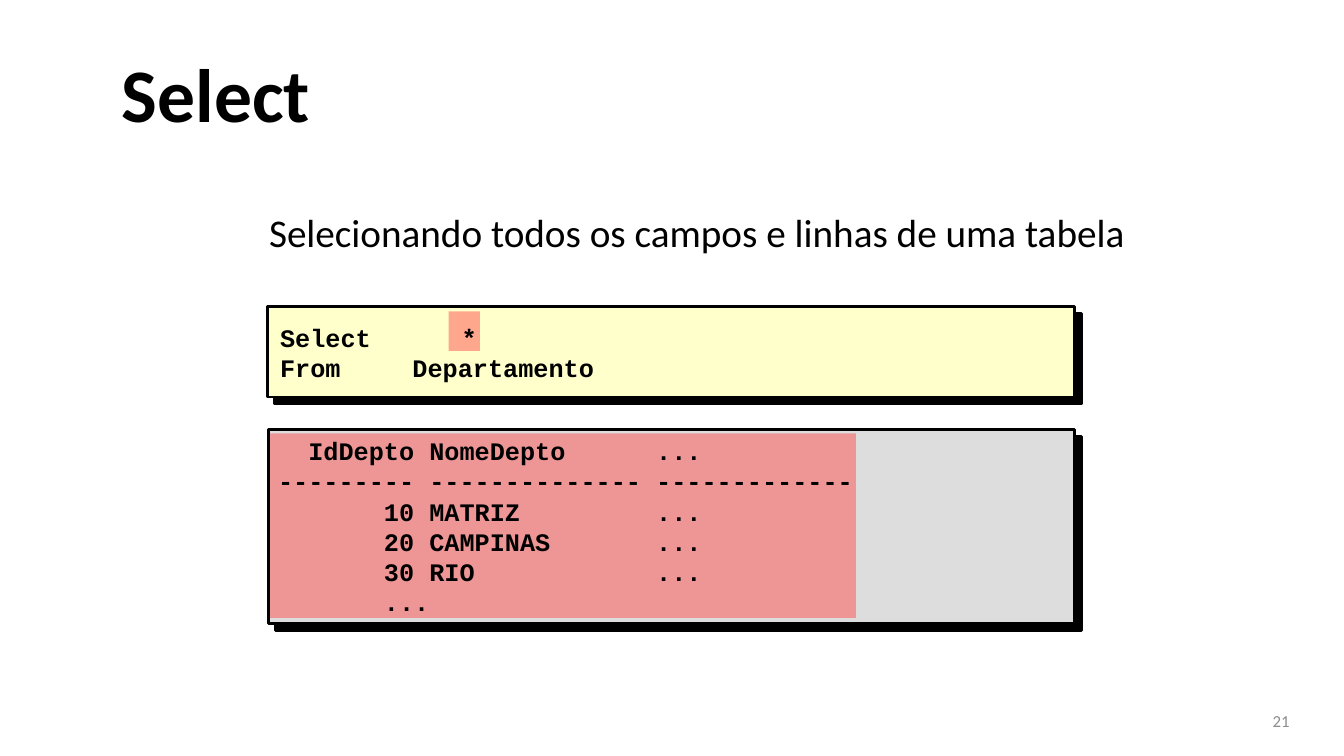
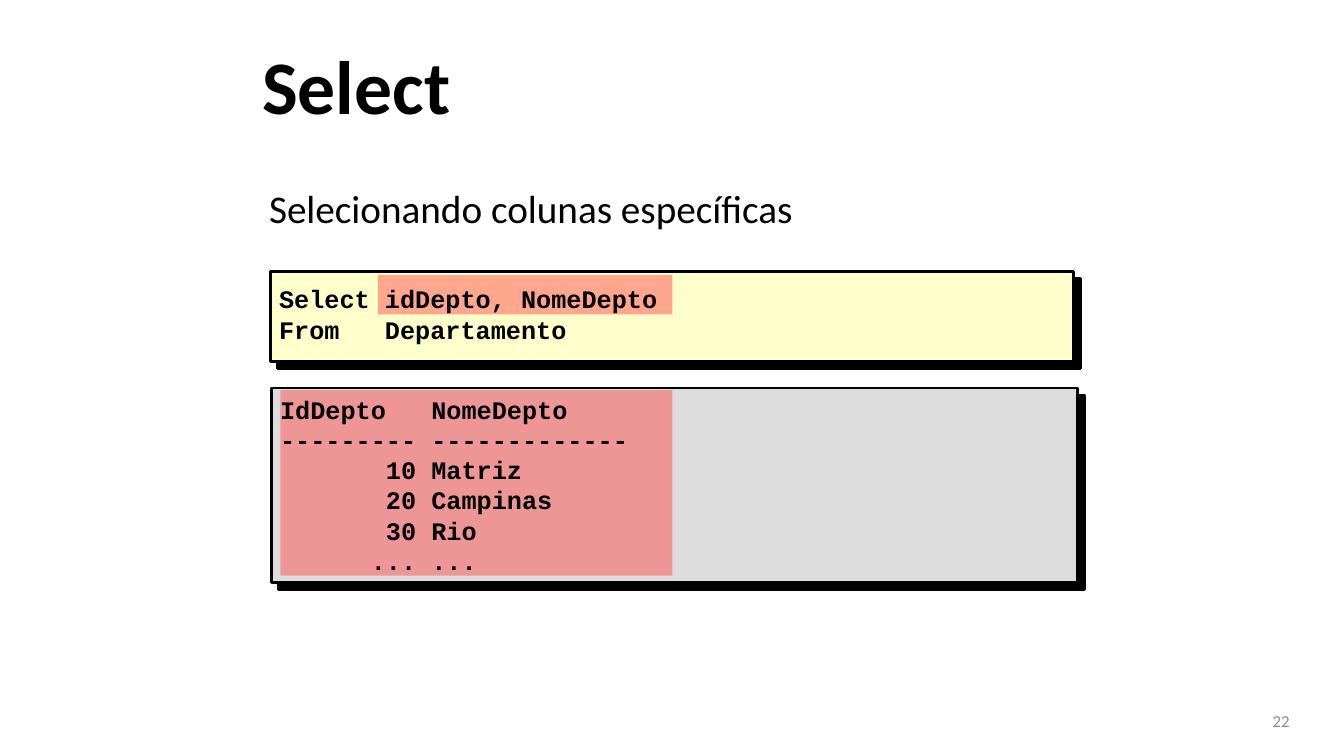
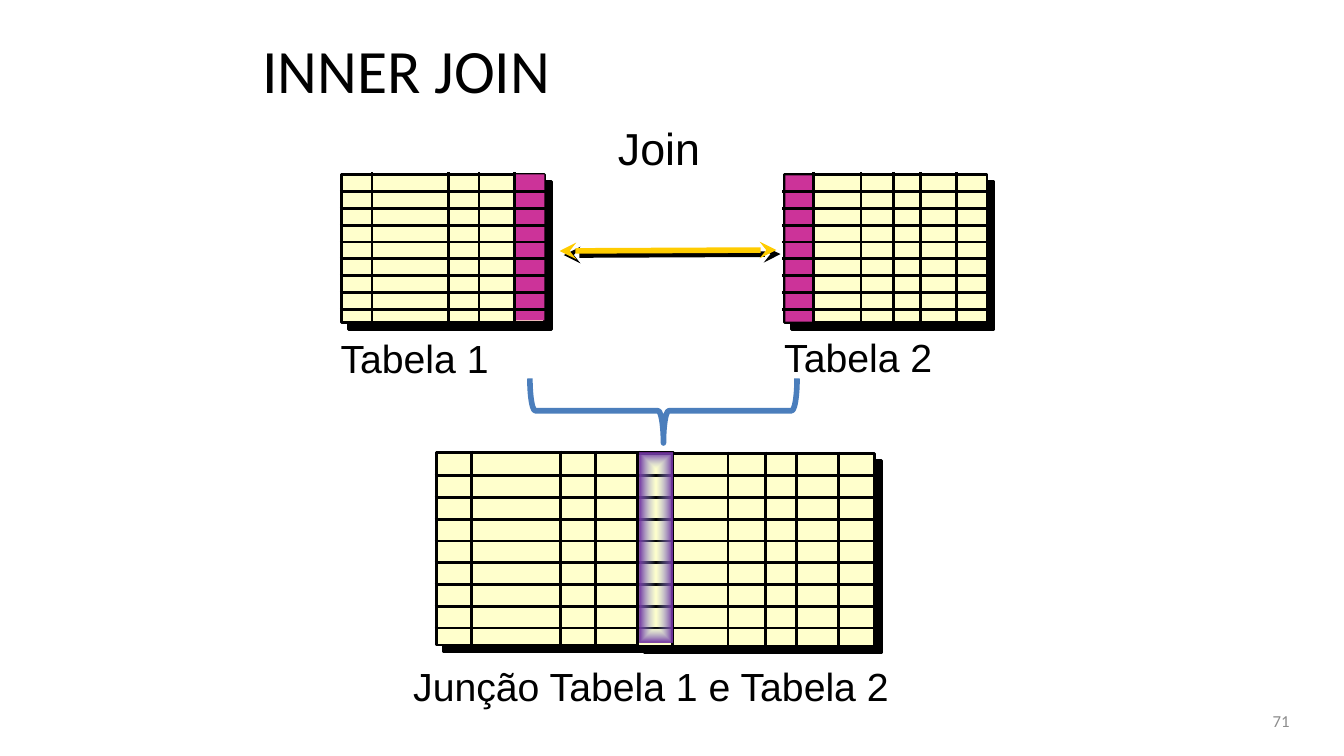
from dataclasses import dataclass
from typing import Optional

from lxml.etree import SubElement
from pptx import Presentation
from pptx.dml.color import RGBColor
from pptx.enum.shapes import MSO_CONNECTOR, MSO_SHAPE
from pptx.enum.text import MSO_ANCHOR, MSO_AUTO_SIZE, PP_ALIGN
from pptx.oxml.ns import qn
from pptx.util import Inches, Pt


@dataclass(frozen=True)
class Theme:
    black: str = "000000"
    query_fill: str = "FFFFCC"
    result_fill: str = "DDDDDD"
    highlight: str = "FF5050"
    key_column: str = "CC3399"
    join_column: str = "7030A0"
    join_center: str = "9AB5E4"
    arrow: str = "FFCC00"
    brace: str = "4B7EBC"
    page_number: str = "8C8C8C"
    text_font: str = "Calibri"
    label_font: str = "Arial"
    code_font: str = "Courier New"
    title_size: float = 54
    join_title_size: float = 44
    join_label_size: float = 32
    body_size: float = 28
    code_size: float = 18
    code_leading: float = 21.6
    page_number_size: float = 12
    outline: float = 2
    heavy_line: float = 4
    box_shadow: float = 7.1
    arrow_shadow: float = 4.2


THEME = Theme()
CODE_CHARACTER = 0.15  # inches per monospaced character
ROW_LINES = 8
OVERHANG = 0.02


@dataclass(frozen=True)
class Box:
    left: float
    top: float
    width: float
    height: float

    @property
    def right(self) -> float:
        return self.left + self.width

    @property
    def bottom(self) -> float:
        return self.top + self.height

    def lengths(self) -> tuple:
        return tuple(Inches(value) for value in (self.left, self.top, self.width, self.height))


@dataclass(frozen=True)
class CodeLine:
    """A line of code; stops are tab positions counted in characters."""
    text: str
    stops: tuple = ()


@dataclass(frozen=True)
class CodePanel:
    frame: Box
    text_box: Box
    highlight: Box
    fill: str
    lines: tuple
    anchor: MSO_ANCHOR = MSO_ANCHOR.TOP


@dataclass(frozen=True)
class SelectSlide:
    number: str
    title_box: Box
    subtitle: str
    subtitle_box: Box
    panels: tuple


@dataclass(frozen=True)
class Grid:
    frame: Box
    columns: tuple
    first_row: float
    last_row: float
    key_column: Optional[Box] = None


SELECT_SLIDES = (
    SelectSlide(
        "21", Box(1.11, 0.29, 11.78, 1.25),
        "Selecionando todos os campos e linhas de uma tabela", Box(2.57, 2.02, 9.07, 1.04),
        (
            CodePanel(
                Box(2.66, 4.26, 8, 1.93), Box(2.66, 4.27, 7.99, 1.92), Box(2.68, 4.3, 5.81, 1.83),
                THEME.result_fill,
                (
                    CodeLine("\tIdDepto NomeDepto\t...", (2, 25)),
                    CodeLine("--------- -------------- -------------"),
                    CodeLine("\t10 MATRIZ\t...", (7, 25)),
                    CodeLine("\t20 CAMPINAS\t...", (7, 25)),
                    CodeLine("\t30 RIO\t...", (7, 25)),
                    CodeLine("\t...", (7,)),
                )),
            CodePanel(
                Box(2.65, 3.04, 8.01, 0.9), Box(2.68, 3.03, 7.96, 0.93), Box(4.45, 3.09, 0.31, 0.39),
                THEME.query_fill,
                (CodeLine("Select\t*", (12,)), CodeLine("From\tDepartamento", (8.75,))),
                MSO_ANCHOR.MIDDLE),
        )),
    SelectSlide(
        "22", Box(2.5, 0.21, 8.83, 1.25),
        "Selecionando colunas específicas", Box(2.57, 1.78, 6, 1.04),
        (
            CodePanel(
                Box(2.69, 3.85, 8, 1.93), Box(2.68, 3.86, 7.97, 1.9), Box(2.78, 3.87, 3.89, 1.84),
                THEME.result_fill,
                (
                    CodeLine("IdDepto\tNomeDepto", (10,)),
                    CodeLine("--------- -------------"),
                    CodeLine("\t10 Matriz", (7,)),
                    CodeLine("\t20 Campinas", (7,)),
                    CodeLine("\t30 Rio", (7,)),
                    CodeLine("\t... ...", (6,)),
                )),
            CodePanel(
                Box(2.68, 2.69, 7.97, 0.9), Box(2.67, 2.65, 8, 0.93), Box(3.75, 2.73, 2.92, 0.39),
                THEME.query_fill,
                (CodeLine("Select idDepto, NomeDepto"), CodeLine("From\tDepartamento", (7,))),
                MSO_ANCHOR.MIDDLE),
        )),
)

SOURCE_GRIDS = (
    Grid(Box(3.39, 1.73, 2.01, 1.47), (3.69, 4.45, 4.75, 5.1), 1.9, 3.07, Box(5.11, 1.73, 0.29, 1.45)),
    Grid(Box(7.78, 1.73, 2.01, 1.47), (8.07, 8.54, 8.86, 9.13, 9.49), 1.9, 3.07,
         Box(7.79, 1.74, 0.29, 1.45)),
)
JOINED_GRIDS = (
    Grid(Box(4.33, 4.49, 2.35, 1.91), (4.68, 5.56, 5.91, 6.33), 4.72, 6.23),
    Grid(Box(6.32, 4.5, 2.35, 1.91), (6.67, 7.22, 7.59, 7.9, 8.32), 4.72, 6.23),
)
JOIN_LABELS = (
    ("Tabela 1", Box(3.28, 3.27, 1.9, 0.57), THEME.body_size),
    ("Tabela 2", Box(7.68, 3.26, 1.9, 0.57), THEME.body_size),
    ("Join", Box(6.03, 1.15, 1.3, 0.64), THEME.join_label_size),
    ("Junção Tabela 1 e Tabela 2", Box(4, 6.52, 4.98, 0.57), THEME.body_size),
)


def rgb(color: str) -> RGBColor:
    return RGBColor.from_string(color)


def write_text(shape, text: str, *, size: float, font: str = THEME.text_font,
               color: str = THEME.black, bold: bool = False, align=PP_ALIGN.LEFT,
               anchor=MSO_ANCHOR.TOP, leading: Optional[float] = None) -> list:
    """Fill a shape with one formatted paragraph per line and return the paragraphs."""
    frame = shape.text_frame
    frame.word_wrap = True
    frame.auto_size = MSO_AUTO_SIZE.NONE
    frame.vertical_anchor = anchor
    frame.text = text
    for paragraph in frame.paragraphs:
        paragraph.alignment = align
        if leading:
            paragraph.line_spacing = Pt(leading)
        for run in paragraph.runs:
            run.font.name = font
            run.font.size = Pt(size)
            run.font.bold = bold
            run.font.color.rgb = rgb(color)
    return list(frame.paragraphs)


def add_text(slide, box: Box, text: str, **text_format) -> list:
    return write_text(slide.shapes.add_textbox(*box.lengths()), text, **text_format)


def add_slide(presentation, title: str, title_box: Box, number: str, **title_format):
    slide = presentation.slides.add_slide(presentation.slide_layouts[5])
    placeholder = slide.shapes.title
    placeholder.left, placeholder.top, placeholder.width, placeholder.height = title_box.lengths()
    write_text(placeholder, title, anchor=MSO_ANCHOR.MIDDLE, **title_format)
    add_text(slide, Box(9.78, 6.95, 3.11, 0.4), number, size=THEME.page_number_size,
             color=THEME.page_number, align=PP_ALIGN.RIGHT, anchor=MSO_ANCHOR.MIDDLE)
    return slide


def set_shadow(effects, distance: float) -> None:
    shadow = SubElement(effects, qn("a:outerShdw"), dist=str(Pt(distance)), dir="2700000",
                        algn="ctr", rotWithShape="0")
    SubElement(shadow, qn("a:srgbClr"), val=THEME.black)


def add_rectangle(slide, box: Box, fill: str, *, alpha: int = 100, framed: bool = False):
    shape = slide.shapes.add_shape(MSO_SHAPE.RECTANGLE, *box.lengths())
    shape.shadow.inherit = False
    shape.fill.solid()
    shape.fill.fore_color.rgb = rgb(fill)
    properties = shape._element.spPr
    if alpha < 100:
        color = properties.find(qn("a:solidFill")).find(qn("a:srgbClr"))
        SubElement(color, qn("a:alpha"), val=str(alpha * 1000))
    if framed:
        shape.line.color.rgb = rgb(THEME.black)
        shape.line.width = Pt(THEME.outline)
        set_shadow(properties.find(qn("a:effectLst")), THEME.box_shadow)
    else:
        shape.line.fill.background()
    return shape


def add_line(slide, start: tuple, end: tuple, *, color: str = THEME.black,
             width: float = THEME.outline, arrows: bool = False) -> None:
    connector = slide.shapes.add_connector(
        MSO_CONNECTOR.STRAIGHT, *(Inches(value) for value in start + end))
    connector.line.color.rgb = rgb(color)
    connector.line.width = Pt(width)
    properties = connector._element.spPr
    effects = SubElement(properties, qn("a:effectLst"))
    if arrows:
        outline = properties.find(qn("a:ln"))
        for tag in ("a:headEnd", "a:tailEnd"):
            SubElement(outline, qn(tag), type="stealth")
        set_shadow(effects, THEME.arrow_shadow)


def add_code_panel(slide, panel: CodePanel) -> None:
    add_rectangle(slide, panel.frame, panel.fill, framed=True)
    add_rectangle(slide, panel.highlight, THEME.highlight, alpha=50)
    paragraphs = add_text(
        slide, panel.text_box, "\n".join(line.text for line in panel.lines),
        size=THEME.code_size, font=THEME.code_font, bold=True, anchor=panel.anchor,
        leading=THEME.code_leading)
    for paragraph, line in zip(paragraphs, panel.lines):
        if line.stops:
            tabs = SubElement(paragraph._p.get_or_add_pPr(), qn("a:tabLst"))
            for stop in line.stops:
                SubElement(tabs, qn("a:tab"), pos=str(Inches(stop * CODE_CHARACTER)), algn="l")


def add_grid(slide, grid: Grid) -> None:
    frame = grid.frame
    add_rectangle(slide, frame, THEME.query_fill, framed=True)
    if grid.key_column:
        add_rectangle(slide, grid.key_column, THEME.key_column)
    for x in grid.columns:
        add_line(slide, (x, frame.top - OVERHANG), (x, frame.bottom + OVERHANG))
    step = (grid.last_row - grid.first_row) / (ROW_LINES - 1)
    for index in range(ROW_LINES):
        y = grid.first_row + index * step
        add_line(slide, (frame.left - OVERHANG, y), (frame.right + OVERHANG, y))


def add_join_column(slide, box: Box) -> None:
    """Draw a column that fades from a solid edge to a clear center."""
    shape = add_rectangle(slide, box, THEME.join_column)
    shape.fill.gradient()
    gradient = shape._element.spPr.find(qn("a:gradFill"))
    for child in list(gradient):
        gradient.remove(child)
    stops = SubElement(gradient, qn("a:gsLst"))
    for position, color, alpha in ((0, THEME.join_center, 0), (100, THEME.join_column, 100)):
        stop = SubElement(stops, qn("a:gs"), pos=str(position * 1000))
        stop_color = SubElement(stop, qn("a:srgbClr"), val=color)
        SubElement(stop_color, qn("a:alpha"), val=str(alpha * 1000))
    shading = SubElement(gradient, qn("a:path"), {"path": "shape"})
    SubElement(shading, qn("a:fillToRect"), l="50000", t="50000", r="50000", b="50000")


def add_brace(slide, box: Box) -> None:
    brace = slide.shapes.add_shape(MSO_SHAPE.RIGHT_BRACE, *box.lengths())
    brace.rotation = 90
    brace.shadow.inherit = False
    brace.fill.background()
    brace.line.color.rgb = rgb(THEME.brace)
    brace.line.width = Pt(THEME.heavy_line)


def build_select_slide(presentation, content: SelectSlide) -> None:
    slide = add_slide(presentation, "Select", content.title_box, content.number,
                      size=THEME.title_size, bold=True)
    for panel in content.panels:
        add_code_panel(slide, panel)
    add_text(slide, content.subtitle_box, content.subtitle, size=THEME.body_size)


def build_join_slide(presentation) -> None:
    slide = add_slide(presentation, "INNER JOIN", Box(2.5, 0.06, 8.83, 1.25), "71",
                      size=THEME.join_title_size)
    for grid in SOURCE_GRIDS + JOINED_GRIDS:
        add_grid(slide, grid)
    add_join_column(slide, Box(6.34, 4.49, 0.33, 1.88))
    add_line(slide, (5.55, 2.49), (7.7, 2.48), color=THEME.arrow, width=THEME.heavy_line, arrows=True)
    add_brace(slide, Box(6.26, 2.75, 0.64, 2.65))
    for text, box, size in JOIN_LABELS:
        add_text(slide, box, text, size=size, font=THEME.label_font)


def main() -> None:
    presentation = Presentation()
    presentation.slide_width = Inches(13.33)
    presentation.slide_height = Inches(7.5)
    for content in SELECT_SLIDES:
        build_select_slide(presentation, content)
    build_join_slide(presentation)
    presentation.save("out.pptx")


if __name__ == "__main__":
    main()
